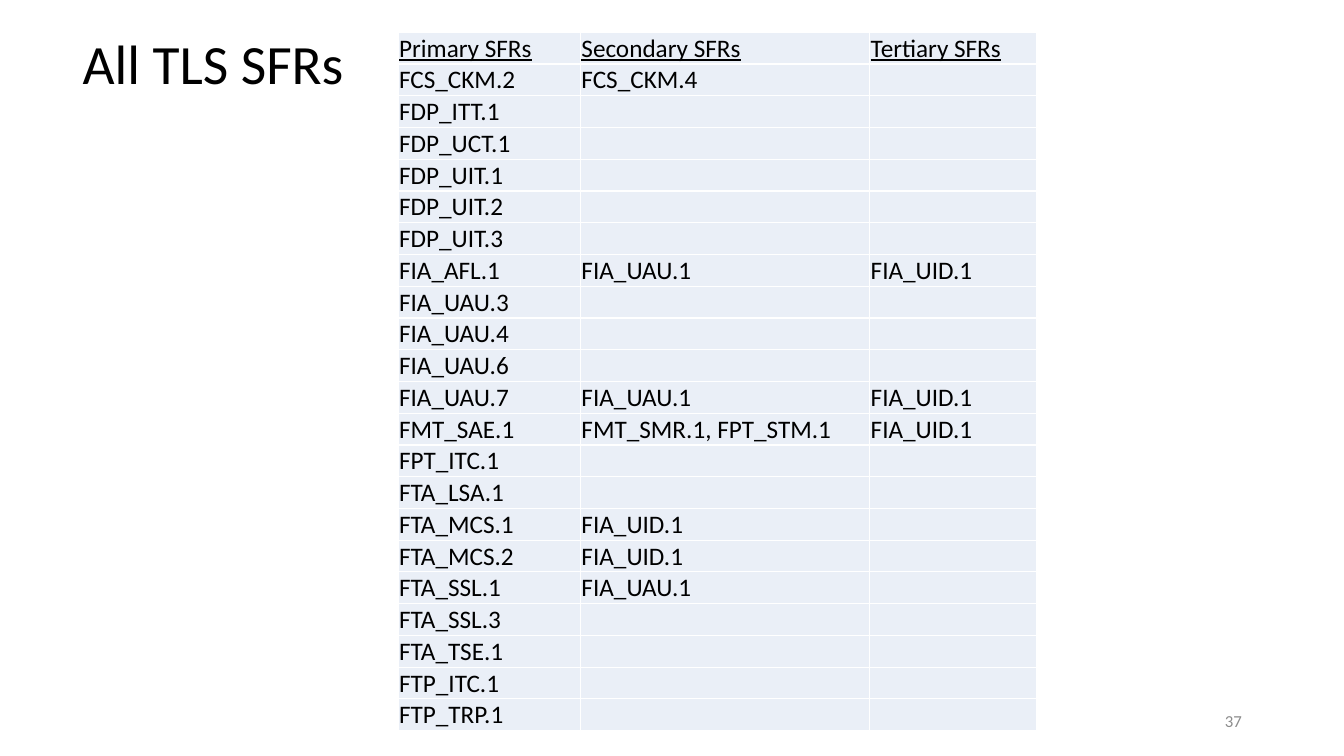
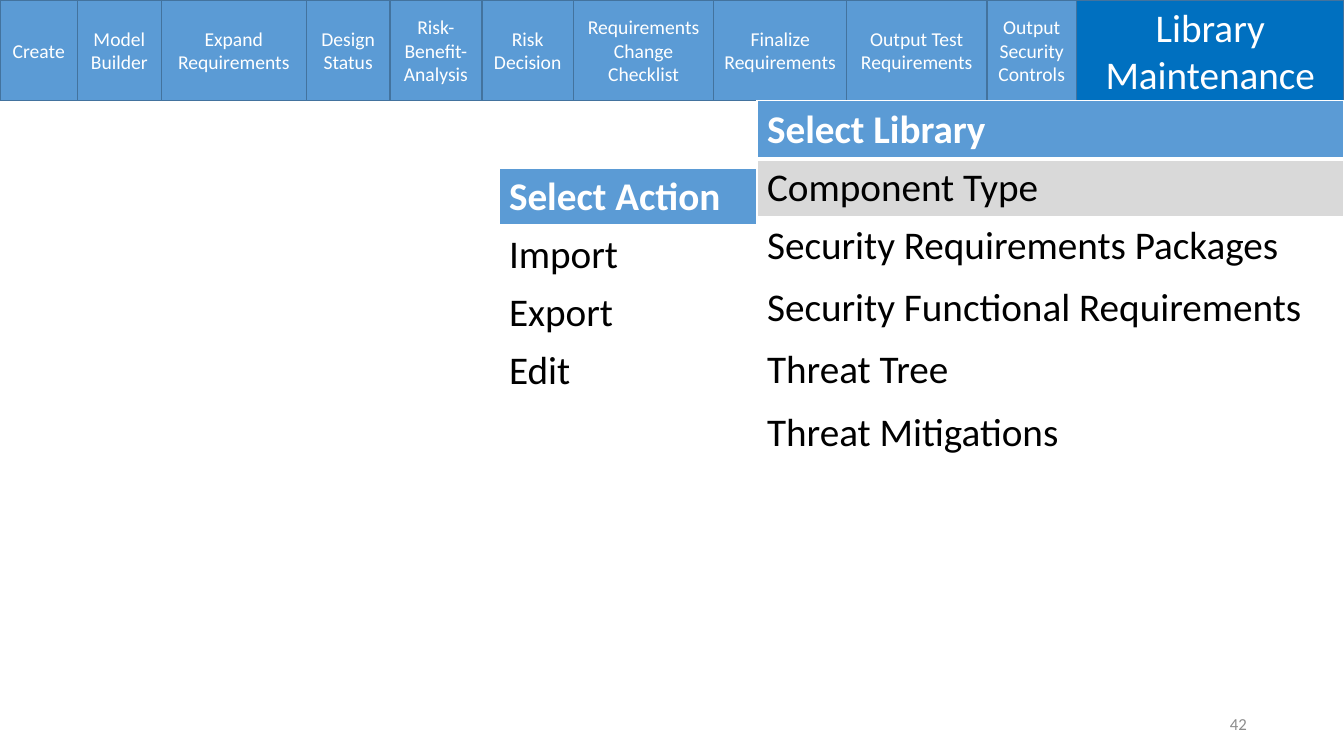
from lxml import etree
from pptx import Presentation
from pptx.dml.color import RGBColor
from pptx.enum.shapes import MSO_SHAPE
from pptx.enum.text import MSO_ANCHOR, MSO_AUTO_SIZE, PP_ALIGN
from pptx.oxml.ns import qn
from pptx.util import Pt

RECTANGLE = MSO_SHAPE.RECTANGLE
TOP, MIDDLE, BOTTOM = MSO_ANCHOR.TOP, MSO_ANCHOR.MIDDLE, MSO_ANCHOR.BOTTOM
LEFT, CENTER, RIGHT = PP_ALIGN.LEFT, PP_ALIGN.CENTER, PP_ALIGN.RIGHT
NO_AUTOFIT = MSO_AUTO_SIZE.NONE
TITLE_ONLY, BLANK = 5, 6
FONT = "Calibri"
COLORS = {
    "text": "000000", "white": "FFFFFF", "number": "8C8C8C",
    "blue": "5B9BD5", "outline": "43739E", "active": "0070C0",
    "pale": "EAEFF7", "selected": "D9D9D9",
}

SFR_COLUMNS = [130.3, 206.6, 119.5]
SFR_ROW_HEIGHT = 22.7
SFR_ROWS = [
    ("Primary SFRs", "Secondary SFRs", "Tertiary SFRs"),
    ("FCS_CKM.2", "FCS_CKM.4"),
    ("FDP_ITT.1",),
    ("FDP_UCT.1",),
    ("FDP_UIT.1",),
    ("FDP_UIT.2",),
    ("FDP_UIT.3",),
    ("FIA_AFL.1", "FIA_UAU.1", "FIA_UID.1"),
    ("FIA_UAU.3",),
    ("FIA_UAU.4",),
    ("FIA_UAU.6",),
    ("FIA_UAU.7", "FIA_UAU.1", "FIA_UID.1"),
    ("FMT_SAE.1", "FMT_SMR.1, FPT_STM.1", "FIA_UID.1"),
    ("FPT_ITC.1",),
    ("FTA_LSA.1",),
    ("FTA_MCS.1", "FIA_UID.1"),
    ("FTA_MCS.2", "FIA_UID.1"),
    ("FTA_SSL.1", "FIA_UAU.1"),
    ("FTA_SSL.3",),
    ("FTA_TSE.1",),
    ("FTP_ITC.1",),
    ("FTP_TRP.1",),
]

# Label and width; the last tab is the active one.
TABS = [
    ("Create", 55.4), ("Model\nBuilder", 59.8), ("Expand Requirements", 103.7),
    ("Design Status", 59.7), ("Risk-Benefit-Analysis", 65.6),
    ("Risk Decision", 65.5), ("Requirements Change Checklist", 100.1),
    ("Finalize Requirements", 95), ("Output Test Requirements", 100.1),
    ("Output Security Controls", 64.1), ("Library Maintenance", 191),
]
TAB_HEIGHT = 72

MENU_ROW, MENU_TALL_ROW = 41.4, 44.6
MENUS = [
    {"left": 540.7, "top": TAB_HEIGHT, "width": 419.3, "selected": 1,
     "rows": [("Select Library", MENU_ROW), ("Component Type", MENU_ROW),
              ("Security Requirements Packages", MENU_TALL_ROW),
              ("Security Functional Requirements", MENU_TALL_ROW),
              ("Threat Tree", MENU_TALL_ROW),
              ("Threat Mitigations", MENU_TALL_ROW)]},
    {"left": 356.4, "top": 120.2, "width": 184.3, "selected": None,
     "rows": [(label, MENU_ROW)
              for label in ("Select Action", "Import", "Export", "Edit")]},
]


def color(name):
    return RGBColor.from_string(COLORS[name])


def write(frame, text, size=18, ink="text", align=LEFT, bold=False,
          underline=False, spacing=1.0):
    """Put each line of the text in its own paragraph."""
    frame.word_wrap = True
    frame.text = text
    for paragraph in frame.paragraphs:
        paragraph.alignment = align
        paragraph.line_spacing = spacing
        for font in [paragraph.font] + [run.font for run in paragraph.runs]:
            font.name, font.size = FONT, Pt(size)
            font.bold, font.underline = bold, underline
            font.color.rgb = color(ink)


def add_page_number(slide, number, left, top):
    box = slide.shapes.add_textbox(Pt(left), Pt(top), Pt(216), Pt(28.8))
    box.text_frame.vertical_anchor = MIDDLE
    write(box.text_frame, number, size=12, ink="number", align=RIGHT)


def add_plain_table(slide, left, top, widths, heights):
    """Add a table without banding, sized by its columns and rows."""
    table = slide.shapes.add_table(
        len(heights), len(widths), Pt(left), Pt(top),
        Pt(sum(widths)), Pt(sum(heights))).table
    table.first_row = table.horz_banding = False
    for column, width in zip(table.columns, widths):
        column.width = Pt(width)
    for row, height in zip(table.rows, heights):
        row.height = Pt(height)
    return table


def style_cell(cell, fill, margins=None, anchor=TOP, top_line=1, bottom_line=1):
    """Set white borders, then the fill, insets and anchor."""
    properties = cell._tc.get_or_add_tcPr()
    for side, width in zip("LRTB", (1, 1, top_line, bottom_line)):
        line = etree.SubElement(properties, qn(f"a:ln{side}"), w=str(Pt(width)))
        solid = etree.SubElement(line, qn("a:solidFill"))
        etree.SubElement(solid, qn("a:srgbClr"), val=COLORS["white"])
    if fill:
        cell.fill.solid()
        cell.fill.fore_color.rgb = color(fill)
    else:
        cell.fill.background()
    if margins:
        (cell.margin_left, cell.margin_top, cell.margin_right,
         cell.margin_bottom) = [Pt(margin) for margin in margins]
    cell.vertical_anchor = anchor


def build_sfr_slide(presentation):
    slide = presentation.slides.add_slide(presentation.slide_layouts[TITLE_ONLY])
    title = slide.shapes.title
    title.left, title.top, title.width, title.height = (
        Pt(51.8), Pt(23), Pt(828), Pt(49))
    title.text_frame.auto_size = NO_AUTOFIT
    title.text_frame.vertical_anchor = MIDDLE
    write(title.text_frame, "All TLS SFRs", size=39.6, spacing=0.9)

    table = add_plain_table(slide, 284.4, 23, SFR_COLUMNS,
                            [SFR_ROW_HEIGHT] * len(SFR_ROWS))
    for row, labels in enumerate(SFR_ROWS):
        for column in range(len(SFR_COLUMNS)):
            cell = table.cell(row, column)
            style_cell(cell, "pale", margins=(0.7, 0.7, 0.7, 0), anchor=BOTTOM)
            label = labels[column] if column < len(labels) else ""
            write(cell.text_frame, label, underline=row == 0)
    add_page_number(slide, "37", 678.2, 500.4)


def add_tabs(slide):
    left = 0
    for index, (label, width) in enumerate(TABS):
        active = index == len(TABS) - 1
        tab = slide.shapes.add_shape(RECTANGLE, Pt(left), 0, Pt(width),
                                     Pt(TAB_HEIGHT))
        tab.shadow.inherit = False
        tab.fill.solid()
        tab.fill.fore_color.rgb = color("active" if active else "blue")
        tab.line.color.rgb = color("outline")
        tab.line.width = Pt(1)
        frame = tab.text_frame
        frame.margin_left = frame.margin_right = Pt(5)
        frame.vertical_anchor = MIDDLE
        write(frame, label, size=28 if active else 14, ink="white", align=CENTER)
        left += width


def add_menu(slide, menu):
    table = add_plain_table(slide, menu["left"], menu["top"], [menu["width"]],
                            [height for _, height in menu["rows"]])
    fills = {0: "blue", menu["selected"]: "selected"}
    for row, (label, _) in enumerate(menu["rows"]):
        header = row == 0
        cell = table.cell(row, 0)
        style_cell(cell, fills.get(row), top_line=3 if row == 1 else 1,
                   bottom_line=3 if header else 1)
        write(cell.text_frame, label, size=28, bold=header,
              ink="white" if header else "text")


def build_library_slide(presentation):
    slide = presentation.slides.add_slide(presentation.slide_layouts[BLANK])
    add_tabs(slide)
    for menu in MENUS:
        add_menu(slide, menu)
    add_page_number(slide, "42", 681.8, 502.6)


def main():
    presentation = Presentation()
    presentation.slide_width, presentation.slide_height = Pt(960), Pt(540)
    build_sfr_slide(presentation)
    build_library_slide(presentation)
    presentation.save("out.pptx")


if __name__ == "__main__":
    main()
